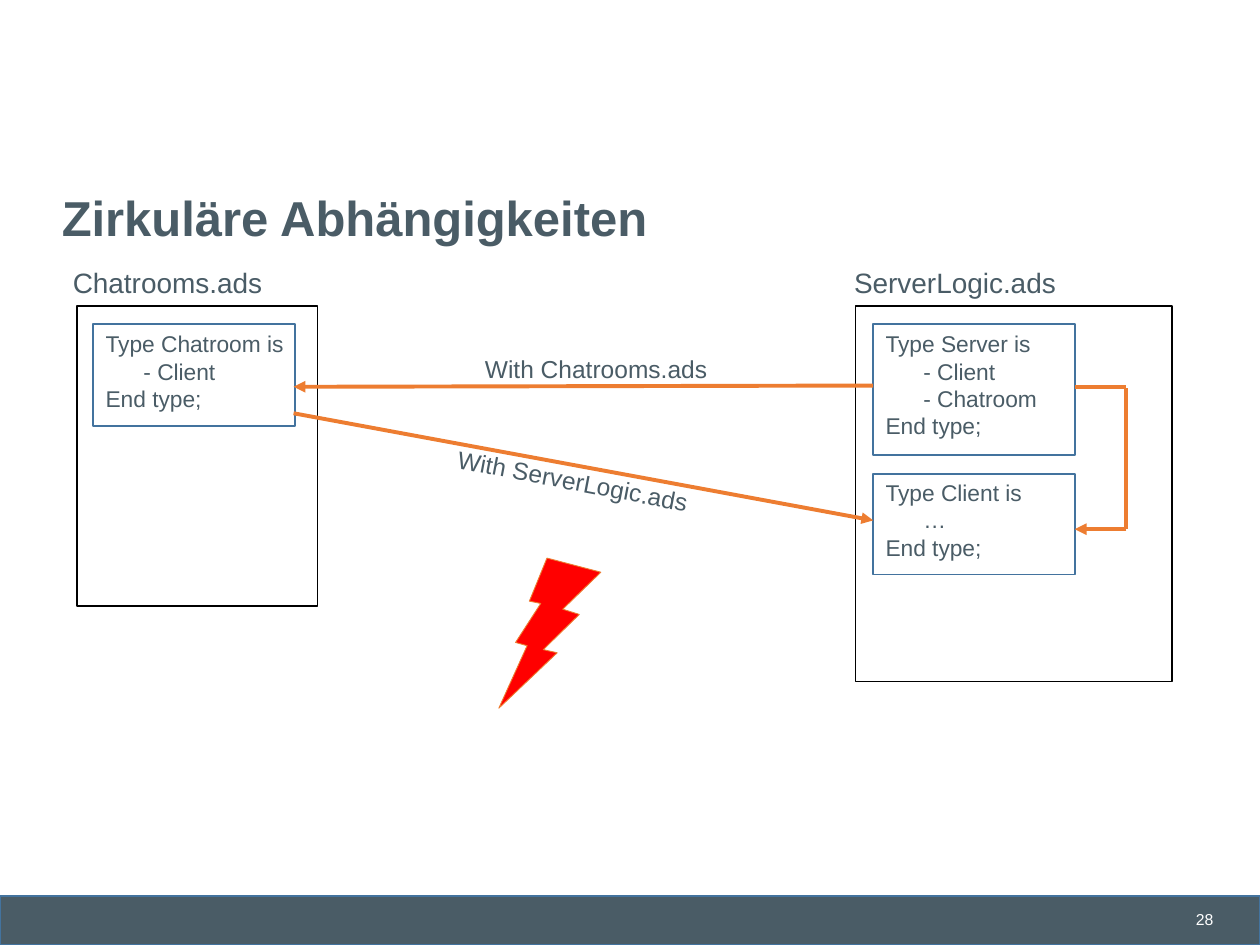
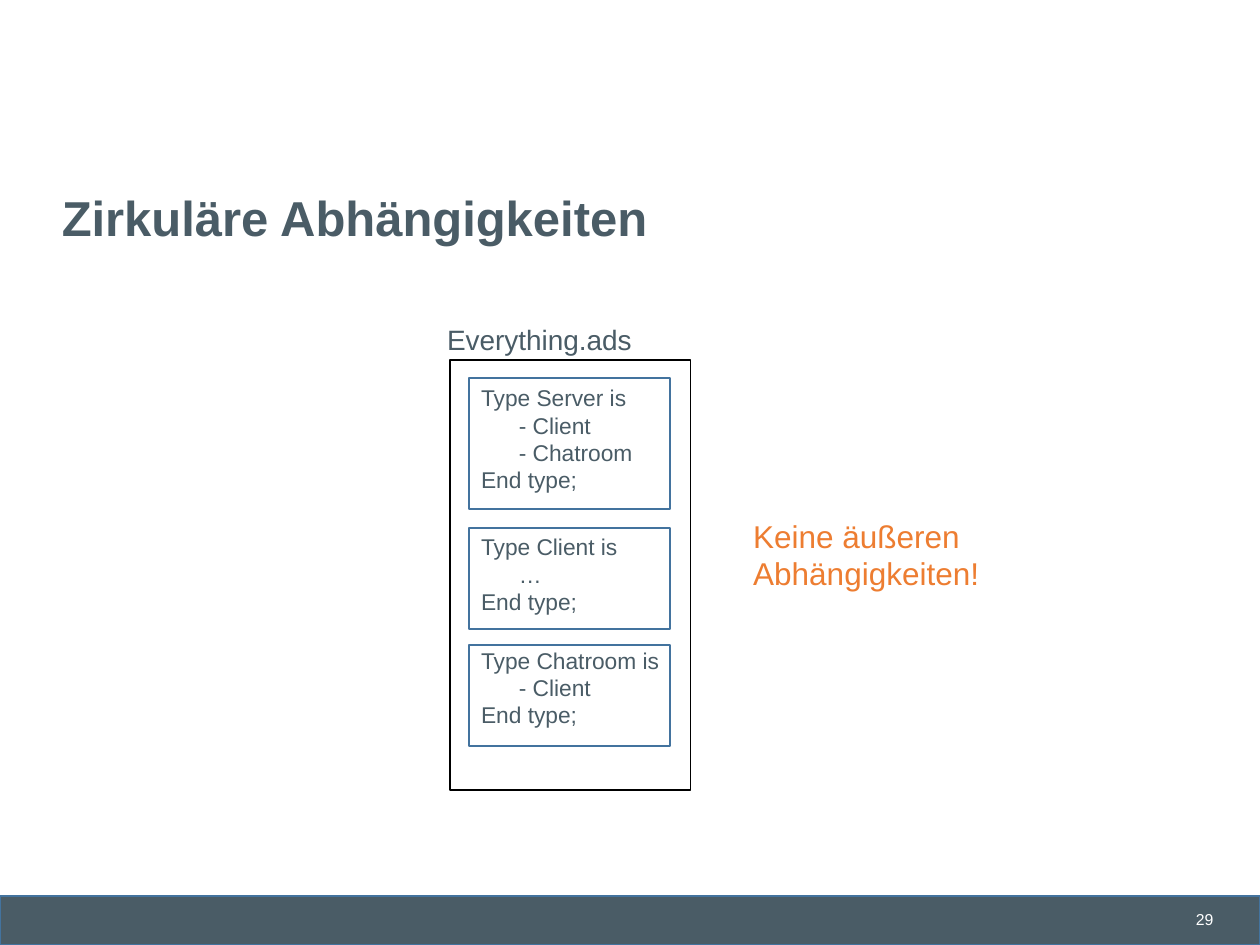
"""Build two slides on circular dependencies between Ada package specifications."""
import pptx
import pptx.dml.color
import pptx.enum.shapes
import pptx.enum.text
import pptx.oxml
import pptx.oxml.ns
import pptx.util

Inches = pptx.util.Inches
Pt = pptx.util.Pt
RGBColor = pptx.dml.color.RGBColor
MSO_SHAPE = pptx.enum.shapes.MSO_SHAPE
MSO_ANCHOR = pptx.enum.text.MSO_ANCHOR
PP_ALIGN = pptx.enum.text.PP_ALIGN

COLORS = {
    "slate": "4A5C66",
    "blue": "43739E",
    "orange": "ED7D31",
    "red": "FF0000",
    "black": "000000",
    "white": "FFFFFF",
}
FONT = "Arial"
TITLE = "Zirkuläre Abhängigkeiten"
TYPES = {
    "Chatroom": ["Type Chatroom is", "\t- Client", "End type;"],
    "Server": ["Type Server is", "\t- Client", "\t- Chatroom", "End type;"],
    "Client": ["Type Client is", "\t…", "End type;"],
}
TYPE_WIDTH = 1.6


def add_shape(slide, kind, bounds, line, fill=None, line_width=1):
    shape = slide.shapes.add_shape(kind, *[Inches(value) for value in bounds])
    shape.shadow.inherit = False
    shape.line.color.rgb = RGBColor.from_string(COLORS[line])
    shape.line.width = Pt(line_width)
    if fill:
        shape.fill.solid()
        shape.fill.fore_color.rgb = RGBColor.from_string(COLORS[fill])
    else:
        shape.fill.background()
    return shape


def write(shape, lines, size, color="slate", bold=False, align=PP_ALIGN.LEFT):
    frame = shape.text_frame
    frame.word_wrap = True
    frame.text = "\n".join(line.lstrip("\t") for line in lines)
    for paragraph, line in zip(frame.paragraphs, lines):
        paragraph.alignment = align
        if line.startswith("\t"):
            properties = paragraph._p.get_or_add_pPr()
            properties.set("marL", str(Inches(0.3)))
            properties.set("indent", "0")
        for run in paragraph.runs:
            run.font.name = FONT
            run.font.size = Pt(size)
            run.font.bold = bold
            run.font.color.rgb = RGBColor.from_string(COLORS[color])
    return frame


presentation = pptx.Presentation()
presentation.slide_width = Inches(10)
presentation.slide_height = Inches(7.5)

slides = []
for number in (28, 29):
    slide = presentation.slides.add_slide(presentation.slide_layouts[5])
    add_shape(slide, MSO_SHAPE.RECTANGLE, (0, 7.11, 10, 0.39), "blue", "slate")

    page_number = slide.shapes.add_textbox(
        Inches(7.38), Inches(7.22), Inches(2.25), Inches(0.15))
    frame = write(page_number, [str(number)], 9, "white", align=PP_ALIGN.RIGHT)
    frame.margin_left = frame.margin_right = 0
    frame.margin_top = frame.margin_bottom = 0

    title = slide.shapes.title
    title.left, title.top = Inches(0.39), Inches(1.44)
    title.width, title.height = Inches(9.02), Inches(0.62)
    frame = write(title, [TITLE], 28, bold=True)
    frame.auto_size = pptx.enum.text.MSO_AUTO_SIZE.NONE
    frame.vertical_anchor = MSO_ANCHOR.MIDDLE
    frame.margin_left = frame.margin_right = Inches(0.1)
    frame.margin_top = frame.margin_bottom = Inches(0.1)
    frame.paragraphs[0].line_spacing = 0.9
    slides.append(slide)

circular, combined = slides

files = [
    (circular, (0.61, 2.43, 1.91, 2.38)),
    (circular, (6.79, 2.43, 2.51, 2.98)),
    (combined, (3.57, 2.86, 1.91, 3.41)),
]
for slide, bounds in files:
    add_shape(slide, MSO_SHAPE.RECTANGLE, bounds, "black")

type_boxes = [
    (circular, "Chatroom", 0.74, 2.57, 0.81, 0.05),
    (circular, "Server", 6.93, 2.57, 1.04, 0.05),
    (circular, "Client", 6.93, 3.76, 0.8, 0.04),
    (combined, "Server", 3.72, 3, 1.04, 0.05),
    (combined, "Client", 3.72, 4.19, 0.8, 0.04),
    (combined, "Chatroom", 3.72, 5.12, 0.8, 0.01),
]
for slide, name, left, top, height, top_margin in type_boxes:
    type_box = add_shape(
        slide, MSO_SHAPE.RECTANGLE, (left, top, TYPE_WIDTH, height), "blue")
    frame = write(type_box, TYPES[name], 13)
    frame.vertical_anchor = MSO_ANCHOR.TOP
    frame.margin_top = Inches(top_margin)
    frame.margin_right = 0

dependencies = [
    ((8.53, 3.07), (8.94, 3.07), False),
    ((8.94, 3.08), (8.94, 4.2), False),
    ((8.94, 4.2), (8.53, 4.2), True),
    ((2.33, 3.28), (6.93, 4.13), True),
    ((6.93, 3.06), (2.33, 3.07), True),
]
for start, end, has_arrowhead in dependencies:
    connector = circular.shapes.add_connector(
        pptx.enum.shapes.MSO_CONNECTOR.STRAIGHT,
        *[Inches(value) for value in start + end])
    connector.line.color.rgb = RGBColor.from_string(COLORS["orange"])
    connector.line.width = Pt(2.25)
    if has_arrowhead:
        arrowhead = pptx.oxml.parse_xml(
            f'<a:tailEnd {pptx.oxml.ns.nsdecls("a")} type="triangle"/>')
        connector.line._get_or_add_ln().append(arrowhead)
    connector._element.spPr.append(
        pptx.oxml.parse_xml(f'<a:effectLst {pptx.oxml.ns.nsdecls("a")}/>'))

bolt = add_shape(circular, MSO_SHAPE.LIGHTNING_BOLT,
                 (3.84, 4.44, 1.01, 1.09), "orange", "red", 0.5)
bolt.rotation = 348.4
bolt._element.spPr.get_or_add_xfrm().set("flipH", "1")

labels = [
    (circular, "Chatrooms.ads", (0.48, 2.06, 1.74, 0.37), 16, "slate", 0),
    (circular, "ServerLogic.ads", (6.68, 2.06, 1.85, 0.37), 16, "slate", 0),
    (circular, "With ServerLogic.ads", (3.52, 3.65, 2.06, 0.34), 14, "slate", 10.9),
    (circular, "With Chatrooms.ads", (3.75, 2.76, 1.98, 0.34), 14, "slate", 0),
    (combined, "Everything.ads", (3.45, 2.51, 3.18, 0.37), 16, "slate", 0),
    (combined, "Keine äußeren Abhängigkeiten!", (5.88, 4.05, 2.27, 0.71), 18, "orange", 0),
]
for slide, text, bounds, size, color, rotation in labels:
    label = slide.shapes.add_textbox(*[Inches(value) for value in bounds])
    write(label, [text], size, color)
    label.rotation = rotation

presentation.save("out.pptx")
